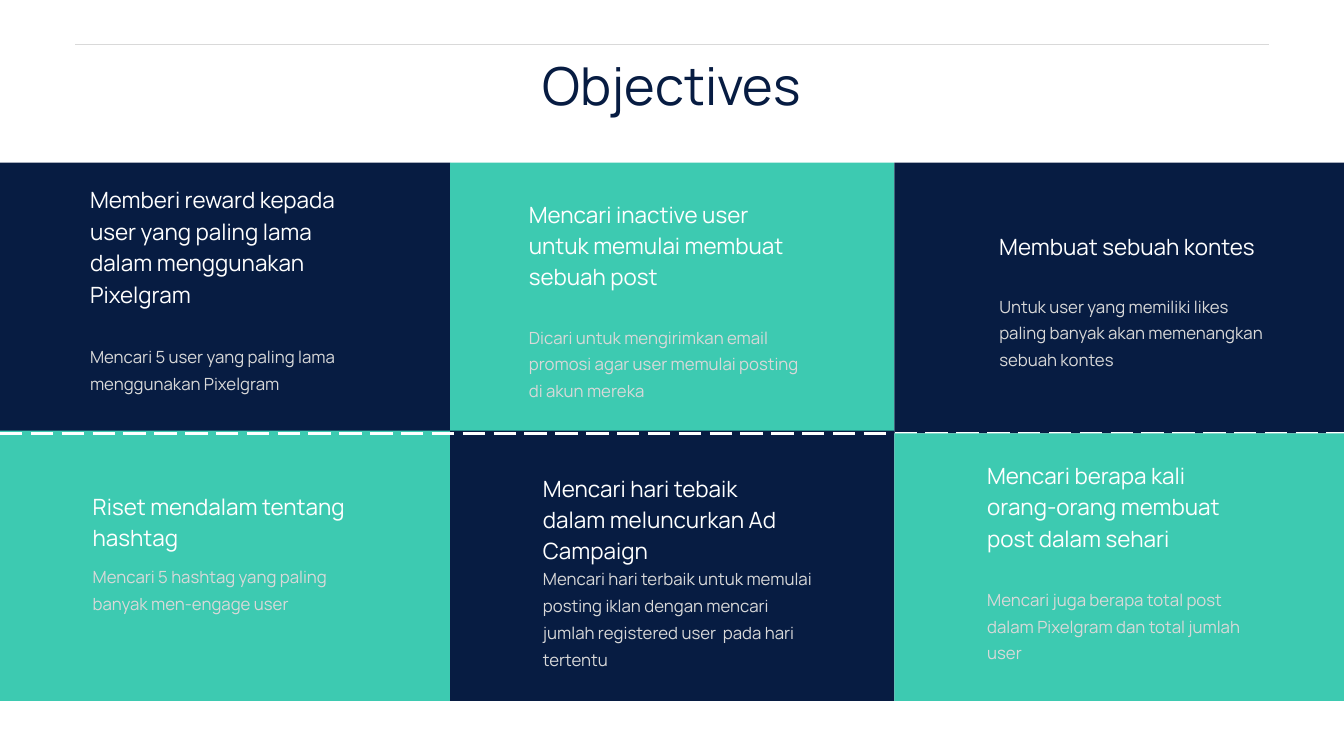
from lxml import etree
from pptx import Presentation
from pptx import util as u
from pptx.dml.color import RGBColor
from pptx.enum import dml, shapes, text
from pptx.oxml.ns import qn

W, H = 20, 11.25
FONT = "Manrope"
COLORS = {"navy": "071C42", "teal": "3DCAB1", "white": "FFFFFF", "grey": "D9D9D9"}
COLUMNS = [(0, 6.7), (6.7, 6.61), (13.31, 6.69)]
ROWS = [2.42, 6.41]
DIVIDER_Y = 6.45
BOTTOM = 10.43
HEADING = dict(size=24, color="white", spacing=33.6)
BODY = dict(size=18, color="grey", spacing=28.8)

# Each objective: row, column, text indent, then (offset, lines, wording) for heading and body.
OBJECTIVES = [
    (0, 0, 1.34,
     (0.29, 5, "Memberi reward kepada user yang paling lama dalam menggunakan Pixelgram"),
     (2.64, 2, "Mencari 5 user yang paling lama menggunakan Pixelgram")),
    (0, 1, 1.17,
     (0.5, 4, "Mencari inactive user untuk memulai membuat sebuah post"),
     (2.35, 3, "Dicari untuk mengirimkan email promosi agar user memulai posting di akun mereka")),
    (0, 2, 1.56,
     (0.98, 2, "Membuat sebuah kontes"),
     (1.89, 3, "Untuk user yang memiliki likes paling banyak akan memenangkan sebuah kontes")),
    (1, 0, 1.38,
     (0.86, 2, "Riset mendalam tentang hashtag"),
     (1.92, 2, "Mencari 5 hashtag yang paling banyak men-engage user")),
    (1, 1, 1.38,
     (0.59, 3, "Mencari hari tebaik dalam meluncurkan Ad Campaign"),
     (1.96, 4, "Mencari hari terbaik untuk memulai posting iklan dengan mencari "
               "jumlah registered user  pada hari tertentu")),
    (1, 2, 1.38,
     (0.4, 4, "Mencari berapa kali orang-orang membuat post dalam sehari"),
     (2.26, 3, "Mencari juga berapa total post dalam Pixelgram dan total jumlah user")),
]


def rgb(name):
    return RGBColor.from_string(COLORS[name])


def write(sp, words, *, size, color, spacing, align=text.PP_ALIGN.LEFT):
    tf = sp.text_frame
    tf.word_wrap = True
    tf.auto_size = text.MSO_AUTO_SIZE.NONE
    tf.vertical_anchor = text.MSO_ANCHOR.TOP
    tf.margin_left = tf.margin_right = tf.margin_top = tf.margin_bottom = 0
    p = tf.paragraphs[0]
    p.alignment = align
    p.line_spacing = u.Pt(spacing)
    p.space_before = u.Pt(0)
    r = p.add_run()
    r.text = words
    r.font.name = FONT
    r.font.size = u.Pt(size)
    r.font.color.rgb = rgb(color)


def add_title(s, words):
    sp = s.shapes.title
    width = 5.06
    sp.left, sp.top = u.Inches((W - width) / 2), u.Inches(0.79)
    sp.width, sp.height = u.Inches(width), u.Inches(0.99)
    write(sp, words, size=56, color="navy", spacing=67.2, align=text.PP_ALIGN.CENTER)


def add_panel(s, row, col):
    left, width = COLUMNS[col]
    top = DIVIDER_Y if (row, col) == (1, 2) else ROWS[row]
    bottom = BOTTOM if row else DIVIDER_Y
    sp = s.shapes.add_shape(shapes.MSO_SHAPE.RECTANGLE, u.Inches(left), u.Inches(top),
                            u.Inches(width), u.Inches(bottom - top))
    sp.shadow.inherit = False
    sp.fill.solid()
    sp.fill.fore_color.rgb = rgb("teal" if (row + col) % 2 else "navy")
    sp.line.fill.background()


def add_line(s, margin, y, *, color, width, dash=None):
    ln = s.shapes.add_connector(shapes.MSO_CONNECTOR.STRAIGHT, u.Inches(margin), u.Inches(y),
                                u.Inches(W - margin), u.Inches(y))
    ln.line.color.rgb = rgb(color)
    ln.line.width = u.Pt(width)
    if dash:
        ln.line.dash_style = dash
    etree.SubElement(ln._element.spPr, qn("a:effectLst"))


def add_block(s, left, top, width, lines, words, style):
    sp = s.shapes.add_textbox(u.Inches(left), u.Inches(top), u.Inches(width),
                              u.Pt(lines * style["spacing"]))
    write(sp, words, **style)


def add_objective(s, row, col, indent, heading, body):
    left = COLUMNS[col][0] + indent
    for (offset, lines, words), width, style in ((heading, 3.84, HEADING), (body, 4.02, BODY)):
        add_block(s, left, ROWS[row] + offset, width, lines, words, style)


def main():
    prs = Presentation()
    prs.slide_width, prs.slide_height = u.Inches(W), u.Inches(H)
    s = prs.slides.add_slide(prs.slide_layouts[5])
    add_title(s, "Objectives")
    add_line(s, 1.12, 0.66, color="grey", width=1.5)
    for row, col in ((0, 0), (0, 1), (0, 2), (1, 0), (1, 1)):
        add_panel(s, row, col)
    add_line(s, 0, DIVIDER_Y, color="white", width=3, dash=dml.MSO_LINE.LONG_DASH)
    add_panel(s, 1, 2)
    for objective in OBJECTIVES:
        add_objective(s, *objective)
    prs.save("out.pptx")


if __name__ == "__main__":
    main()
